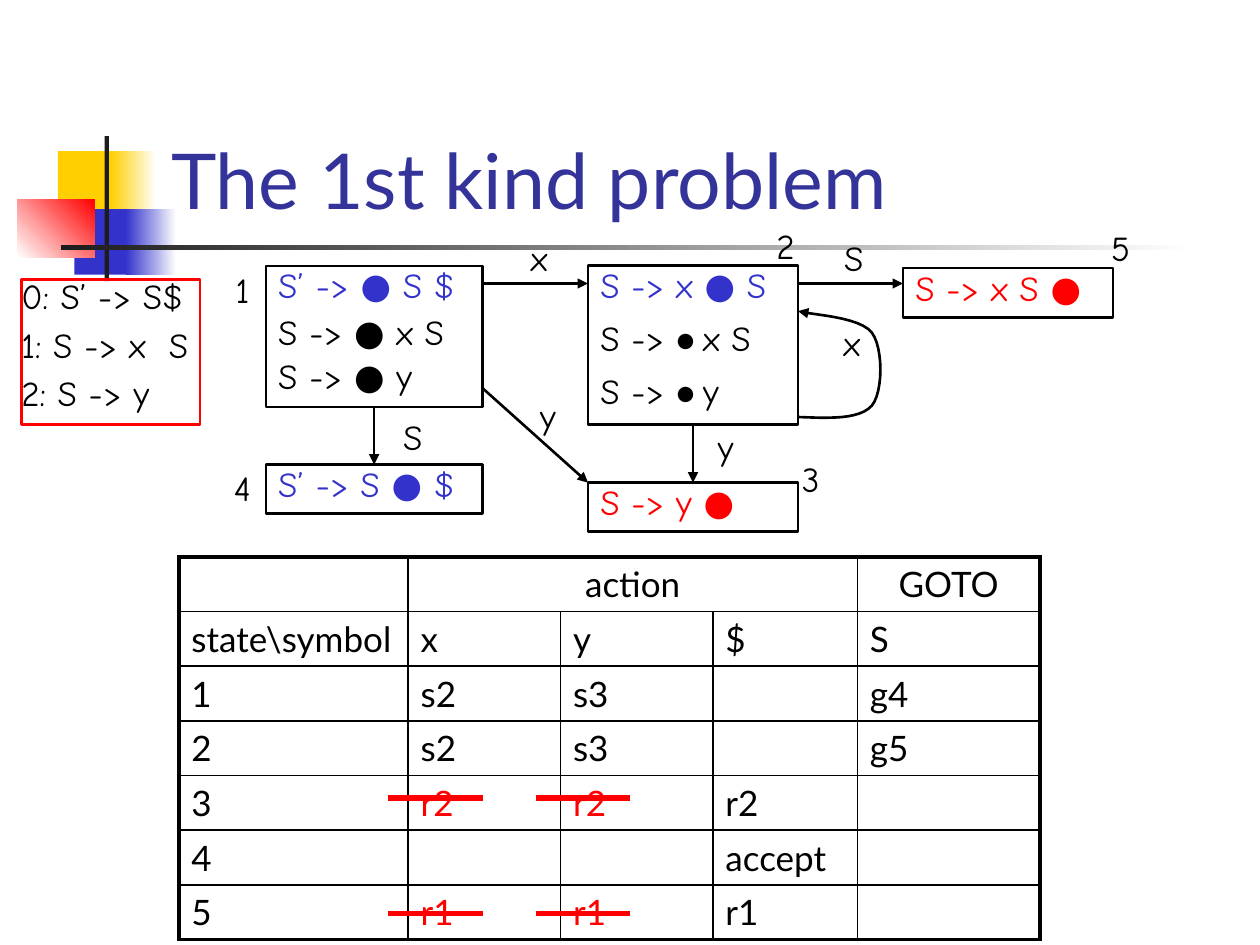
"""Build a slide showing a parser state diagram above its action table."""
from lxml import etree
from pptx import Presentation
from pptx import util as u
from pptx.dml.color import RGBColor
from pptx.enum import shapes, text
from pptx.oxml.ns import qn

Pt = u.Pt
BLACK = RGBColor(0x00, 0x00, 0x00)
WHITE = RGBColor(0xFF, 0xFF, 0xFF)
RED = RGBColor(0xFF, 0x00, 0x00)
BLUE = RGBColor(0x33, 0x33, 0xCC)
NAVY = RGBColor(0x33, 0x33, 0x99)
YELLOW = RGBColor(0xFF, 0xCF, 0x01)
CHARCOAL = RGBColor(0x1C, 0x1C, 0x1C)
HAND, SANS = "Comic Neue", "Lato"


def write(frame, lines, align=text.PP_ALIGN.LEFT, font=HAND, size=20):
    for index, (words, colour, spacing) in enumerate(lines):
        para = frame.paragraphs[0] if index == 0 else frame.add_paragraph()
        para.alignment = align
        para.line_spacing = spacing
        para.space_before = Pt(11 if index else 0)
        para.font.name, para.font.size = font, Pt(size)
        para.font.color.rgb = colour
        for piece in words.split("|"):
            span = para.add_run()
            span.text = piece
            if piece == "● ":
                span.font.name, span.font.size = SANS, Pt(18)


def draw_stroke(shape, colour, width, arrow):
    shape.line.color.rgb = colour
    shape.line.width = Pt(width)
    properties = shape.element.spPr
    if arrow:
        etree.SubElement(properties.find(qn("a:ln")), qn("a:tailEnd"), type="triangle")
    etree.SubElement(properties, qn("a:effectLst"))


deck = Presentation()
deck.slide_width, deck.slide_height = Pt(720), Pt(540)
page = deck.slides.add_slide(deck.slide_layouts[6])

ornaments = [
    (33.1, 86.4, 34.6, 37.4, YELLOW, None, 0),
    (63.4, 86.4, 25.9, 37.4, YELLOW, WHITE, 0),
    (42.5, 119.5, 33.1, 37.4, BLUE, None, 0),
    (72, 119.5, 28.8, 37.4, BLUE, WHITE, 0),
    (10, 113.8, 44, 33.1, WHITE, RED, 45),
    (59.8, 77.8, 2.4, 82.8, CHARCOAL, None, 0),
    (34.6, 140.2, 648, 2.4, CHARCOAL, WHITE, 0),
]
for left, top, width, height, start, end, angle in ornaments:
    ornament = page.shapes.add_shape(
        shapes.MSO_SHAPE.RECTANGLE, Pt(left), Pt(top), Pt(width), Pt(height))
    ornament.shadow.inherit = False
    ornament.line.fill.background()
    if end is None:
        ornament.fill.solid()
        ornament.fill.fore_color.rgb = start
    else:
        ornament.fill.gradient()
        ornament.fill.gradient_angle = angle
        for stop, colour in zip(ornament.fill.gradient_stops, (start, end)):
            stop.color.rgb = colour

title = page.shapes.add_textbox(Pt(90.7), Pt(16.6), Pt(613.4), Pt(115.2))
title.text_frame.word_wrap = True
title.text_frame.vertical_anchor = text.MSO_ANCHOR.BOTTOM
write(title.text_frame, [("The 1st kind problem", NAVY, 1.0)], font=SANS, size=44)

box_data = {
    "grammar": (12.2, 159.8, 102.2, 82.8, RED, [
        ("0: S’ -> S$", BLACK, 0.7), ("1: S -> x  S", BLACK, 0.7), ("2: S -> y", BLACK, 0.7)]),
    "1": (151.9, 151.9, 123.8, 80.6, BLACK, [
        ("S’ -> ● S $", BLUE, 0.8), ("S -> ● x S", BLACK, 0.6), ("S -> ● y", BLACK, 0.6)]),
    "2": (336, 151.9, 120, 90.7, BLACK, [
        ("S -> x ● S", BLUE, 0.8), ("S -> |● |x S", BLACK, 0.8), ("S -> |● |y", BLACK, 0.8)]),
    "3": (336, 275.8, 120, 28.1, BLACK, [("S -> y ●", RED, 0.8)]),
    "4": (151.9, 265.5, 123.8, 28.1, BLACK, [("S’ -> S ● $", BLUE, 0.8)]),
    "5": (516, 153.2, 120, 28.1, BLACK, [("S -> x S ●", RED, 0.8)]),
}
boxes = {}
for name, (left, top, width, height, outline, lines) in box_data.items():
    box = page.shapes.add_shape(
        shapes.MSO_SHAPE.RECTANGLE, Pt(left), Pt(top), Pt(width), Pt(height))
    box.shadow.inherit = False
    box.fill.background()
    box.line.color.rgb = outline
    box.line.width = Pt(1.5)
    box.text_frame.word_wrap = True
    box.text_frame.vertical_anchor = text.MSO_ANCHOR.TOP
    if name == "grammar":
        box.text_frame.margin_left = box.text_frame.margin_right = 0
    write(box.text_frame, lines)
    boxes[name] = box

labels = [
    ("1", 126.7, 149.8, 23.8), ("4", 125.3, 262.8, 26.6), ("2", 435.6, 124.6, 26.6),
    ("3", 450, 257.8, 26.6), ("5", 627.1, 126, 26.6), ("S", 221.8, 234, 28.1),
    ("x", 295.2, 131.8, 25.9), ("y", 401.8, 239.8, 25.9), ("y", 300.2, 221.8, 25.9),
    ("x", 473.8, 180, 25.9), ("S", 473.8, 131.8, 28.1),
]
for words, left, top, width in labels:
    label = page.shapes.add_textbox(Pt(left), Pt(top), Pt(width), Pt(31))
    label.text_frame.word_wrap = False
    write(label.text_frame, [(words, BLACK, 1.0)], text.PP_ALIGN.CENTER)

strokes = [
    (275.7, 162, 336, 162, BLACK, 1.5, None),
    (456, 162, 516, 162, BLACK, 1.5, None),
    (275.7, 221.8, 336, 275.8, BLACK, 1.5, None),
    (213.8, 232.5, 213.8, 265.5, BLACK, 1.5, ("1", "4")),
    (396, 242.6, 396, 275.8, BLACK, 1.5, ("2", "3")),
]
strikes = [(left, top, left + 54, top, RED, 3, None)
           for top in (456, 522) for left in (222, 306)]

table_left, table_top, row_height = 102.2, 318.2, 31.25
widths = [131, 87.1, 87.1, 82.6, 104.4]
rows = [
    ["", "action", "", "", "GOTO"],
    ["state\\symbol", "x", "y", "$", "S"],
    ["1", "s2", "s3", "", "g4"],
    ["2", "s2", "s3", "", "g5"],
    ["3", "r2", "r2", "r2", ""],
    ["4", "", "", "accept", ""],
    ["5", "r1", "r1", "r1", ""],
]
last_row, last_column = len(rows) - 1, len(widths) - 1
table = page.shapes.add_table(
    len(rows), len(widths), Pt(table_left), Pt(table_top),
    Pt(sum(widths)), Pt(row_height * len(rows))).table
table.first_row = table.horz_banding = False
for column, width in zip(table.columns, widths):
    column.width = Pt(width)
for r, values in enumerate(rows):
    table.rows[r].height = Pt(row_height)
    for c, value in enumerate(values):
        cell = table.cell(r, c)
        outer = {"lnL": c == 0, "lnR": c == last_column, "lnT": r == 0, "lnB": r == last_row}
        properties = cell._tc.get_or_add_tcPr()
        for side, is_outer in outer.items():
            edge = etree.SubElement(
                properties, qn("a:" + side), w=str(Pt(2.25 if is_outer else 1)))
            fill = etree.SubElement(edge, qn("a:solidFill"))
            etree.SubElement(fill, qn("a:srgbClr"), val=str(BLACK))
        cell.fill.background()
        if value:
            align = text.PP_ALIGN.CENTER if r == 0 else text.PP_ALIGN.LEFT
            colour = RED if value[0] == "r" and c < 3 else BLACK
            write(cell.text_frame, [(value, colour, 1.0)], align, SANS)
table.cell(0, 1).merge(table.cell(0, 3))

for x1, y1, x2, y2, colour, width, joined in strokes + strikes:
    stroke = page.shapes.add_connector(
        shapes.MSO_CONNECTOR.STRAIGHT, Pt(x1), Pt(y1), Pt(x2), Pt(y2))
    if joined:
        stroke.begin_connect(boxes[joined[0]], 2)
        stroke.end_connect(boxes[joined[1]], 0)
    draw_stroke(stroke, colour, width, arrow=colour == BLACK)

loop_curves = [
    ((456, 238.3), (473.8, 239), (491, 239.8), (498.2, 231.8)),
    ((498.2, 231.8), (504.7, 223.9), (504.7, 198.7), (498.2, 190.1)),
    ((498.2, 190.1), (491, 180.7), (463, 180), (456, 177.8)),
]
steps = 12
loop_points = []
for curve in loop_curves:
    for step in range(1, steps + 1):
        t = step / steps
        weights = ((1 - t) ** 3, 3 * t * (1 - t) ** 2, 3 * t ** 2 * (1 - t), t ** 3)
        loop_points.append(tuple(
            Pt(sum(weight * point[axis] for weight, point in zip(weights, curve)))
            for axis in (0, 1)))
builder = page.shapes.build_freeform(Pt(456), Pt(238.3))
builder.add_line_segments(loop_points, close=False)
self_loop = builder.convert_to_shape()
self_loop.fill.background()
draw_stroke(self_loop, BLACK, 1.5, arrow=True)

deck.save("out.pptx")
